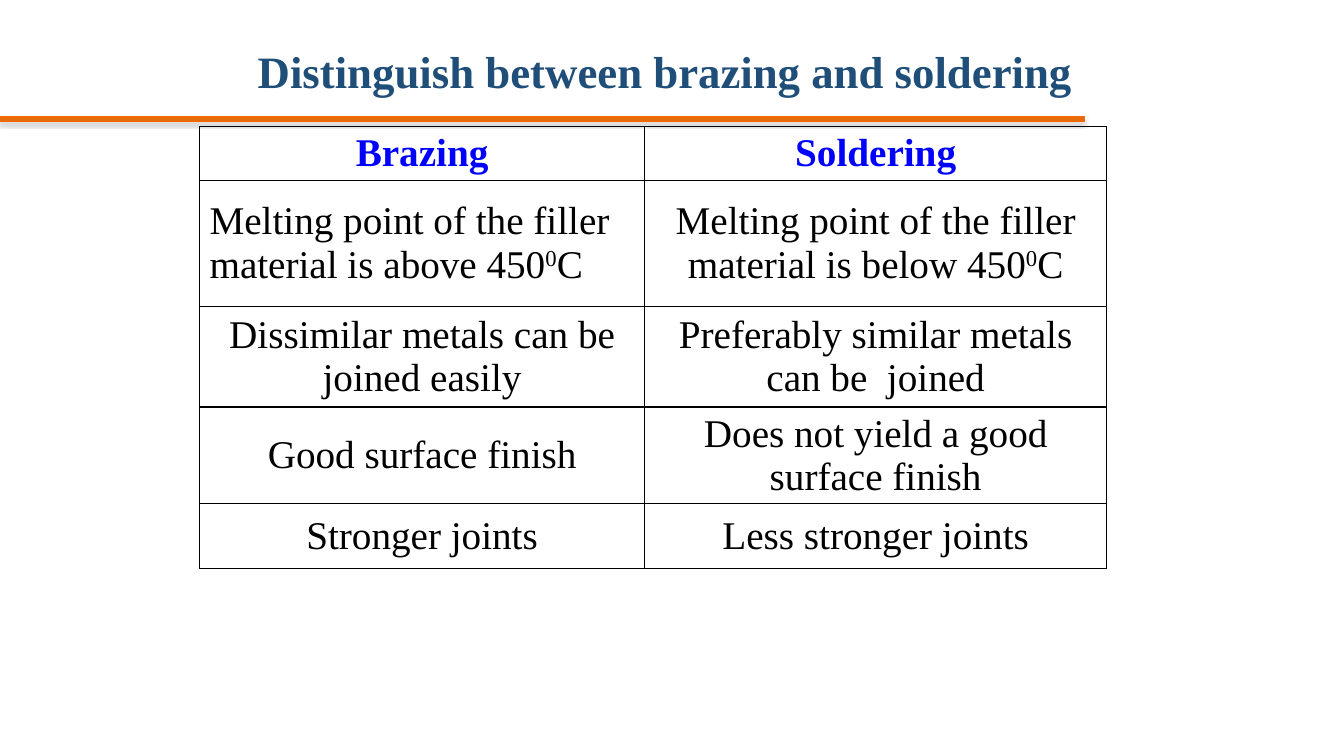
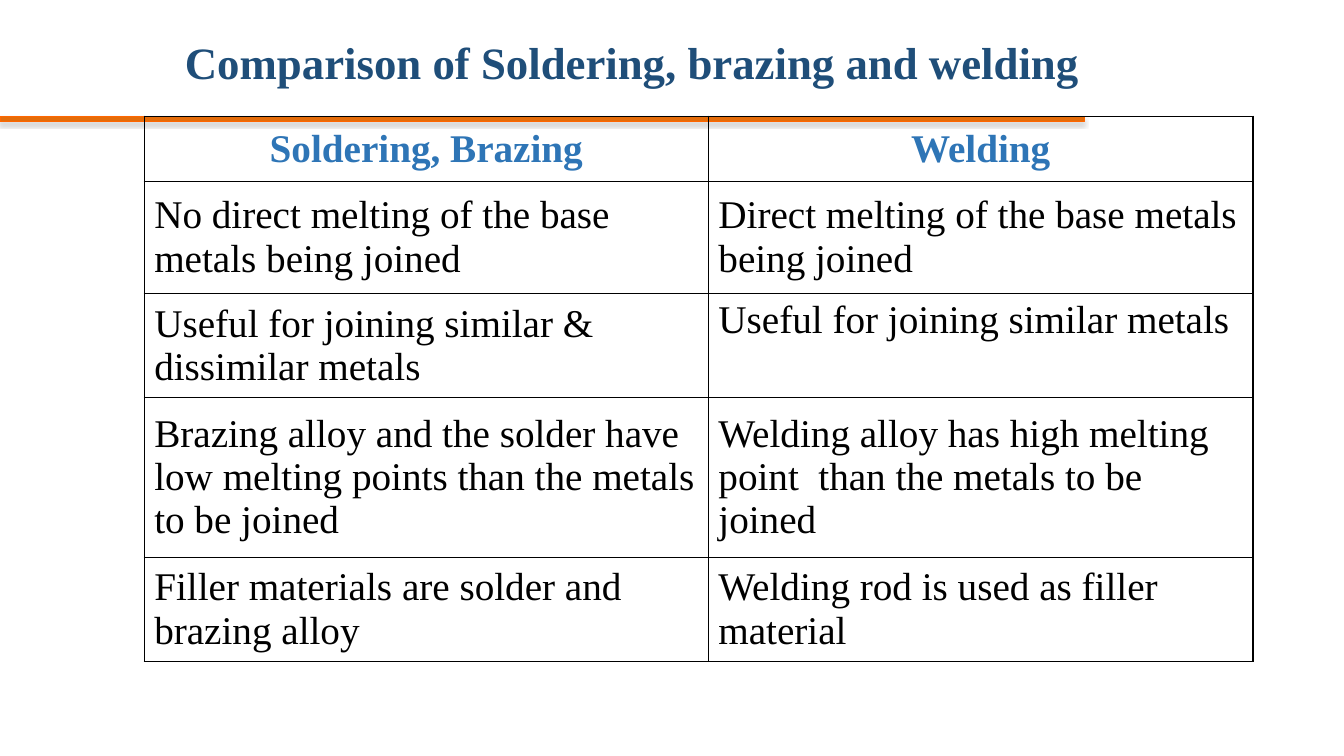
from dataclasses import dataclass

from lxml import etree
from pptx import Presentation
from pptx import util as u
from pptx.dml.color import RGBColor
from pptx.enum import shapes, text
from pptx.oxml import ns

FONT = "Times New Roman"
COLORS = {
    "title": "1F4E79",
    "band": "E46C0A",
    "band_edge": "FF6600",
    "shadow": "808080",
    "bright_blue": "0000FF",
    "soft_blue": "2E75B6",
    "ink": "000000",
}
LEFT, CENTER = text.PP_ALIGN.LEFT, text.PP_ALIGN.CENTER
MIDDLE, TOP = text.MSO_ANCHOR.MIDDLE, text.MSO_ANCHOR.TOP


@dataclass(frozen=True)
class Entry:
    words: str
    align: text.PP_ALIGN = LEFT
    anchor: text.MSO_ANCHOR = MIDDLE


@dataclass(frozen=True)
class Comparison:
    title: str
    title_box: tuple[float, float, float, float]
    origin: tuple[float, float]
    widths: tuple[float, ...]
    heights: tuple[float, ...]
    heading_color: str
    headings: tuple[str, ...]
    rows: tuple[tuple[Entry, ...], ...]


COMPARISONS = (
    Comparison(
        title="Distinguish between brazing and soldering",
        title_box=(177, 16.5, 621, 52.5),
        origin=(142.5, 90.5),
        widths=(318, 330),
        heights=(38, 90, 72, 69, 46),
        heading_color="bright_blue",
        headings=("Brazing", "Soldering"),
        rows=(
            (Entry("Melting point of the filler material is above 450^0^C"),
             Entry("Melting point of the filler material is below 450^0^C", CENTER)),
            (Entry("Dissimilar metals can be joined easily", CENTER),
             Entry("Preferably similar metals can be  joined", CENTER)),
            (Entry("Good surface finish", CENTER),
             Entry("Does not yield a good surface finish", CENTER)),
            (Entry("Stronger joints", CENTER),
             Entry("Less stronger joints", CENTER)),
        ),
    ),
    Comparison(
        title="Comparison of Soldering, brazing and welding",
        title_box=(125, 10, 679, 52.5),
        origin=(103, 83),
        widths=(403, 389),
        heights=(46.5, 80, 69, 114, 72),
        heading_color="soft_blue",
        headings=("Soldering, Brazing", "Welding"),
        rows=(
            (Entry("No direct melting of the base metals being joined"),
             Entry("Direct melting of the base metals being joined")),
            (Entry("Useful for joining similar & dissimilar metals"),
             Entry("Useful for joining similar metals", anchor=TOP)),
            (Entry("Brazing alloy and the solder have low melting points than the metals to be joined"),
             Entry("Welding alloy has high melting point  than the metals to be joined")),
            (Entry("Filler materials are solder and brazing alloy"),
             Entry("Welding rod is used as filler material")),
        ),
    ),
)


def rgb(name: str) -> RGBColor:
    return RGBColor.from_string(COLORS[name])


def write(frame, words: str, *, size: float = 28, color: str = "ink",
          bold: bool = False, align=LEFT, spacing: float = 1.0) -> None:
    frame.word_wrap = True
    paragraph = frame.paragraphs[0]
    paragraph.alignment = align
    paragraph.line_spacing = spacing
    for position, part in enumerate(words.split("^")):
        run = paragraph.add_run()
        run.text = part
        run.font.name = FONT
        run.font.size = u.Pt(size)
        run.font.bold = bold
        run.font.color.rgb = rgb(color)
        if position % 2:
            run.font._element.set("baseline", "30000")


def add_color(parent, name: str):
    return etree.SubElement(parent, ns.qn("a:srgbClr"), val=COLORS[name])


def draw_band(slide) -> None:
    band = slide.shapes.add_shape(
        shapes.MSO_SHAPE.RECTANGLE, u.Pt(0), u.Pt(83.5), u.Pt(774.5), u.Pt(3.5))
    band.fill.solid()
    band.fill.fore_color.rgb = rgb("band")
    band.line.color.rgb = rgb("band_edge")
    band.line.width = u.Pt(0.75)
    band.shadow.inherit = False
    effects = band._element.spPr.find(ns.qn("a:effectLst"))
    shadow = etree.SubElement(
        effects, ns.qn("a:outerShdw"), blurRad=str(u.Pt(3)), dist=str(u.Pt(1.8)),
        dir="5400000", rotWithShape="0")
    etree.SubElement(add_color(shadow, "shadow"), ns.qn("a:alpha"), val="35000")


def draw_title(slide, comparison: Comparison) -> None:
    box = slide.shapes.add_textbox(*map(u.Pt, comparison.title_box))
    write(box.text_frame, comparison.title, size=32, color="title", bold=True, spacing=1.3)


def outline(cell) -> None:
    properties = cell._tc.get_or_add_tcPr()
    for side in ("lnL", "lnR", "lnT", "lnB"):
        edge = etree.SubElement(properties, ns.qn(f"a:{side}"), w=str(u.Pt(1)))
        add_color(etree.SubElement(edge, ns.qn("a:solidFill")), "ink")


def fill_cell(cell, entry: Entry, **style) -> None:
    outline(cell)
    cell.fill.background()
    cell.vertical_anchor = entry.anchor
    write(cell.text_frame, entry.words, align=entry.align, **style)


def draw_table(slide, comparison: Comparison) -> None:
    widths, heights = comparison.widths, comparison.heights
    table = slide.shapes.add_table(
        len(heights), len(widths), *map(u.Pt, comparison.origin),
        u.Pt(sum(widths)), u.Pt(sum(heights))).table
    table.first_row = table.horz_banding = False
    for column, width in zip(table.columns, widths):
        column.width = u.Pt(width)
    for row, height in zip(table.rows, heights):
        row.height = u.Pt(height)
    for cell, heading in zip(table.rows[0].cells, comparison.headings):
        fill_cell(cell, Entry(heading, CENTER), color=comparison.heading_color, bold=True)
    for number, entries in enumerate(comparison.rows, start=1):
        for cell, entry in zip(table.rows[number].cells, entries):
            fill_cell(cell, entry)


def main() -> None:
    deck = Presentation()
    deck.slide_width, deck.slide_height = u.Pt(960), u.Pt(540)
    for comparison in COMPARISONS:
        slide = deck.slides.add_slide(deck.slide_layouts[6])
        draw_band(slide)
        draw_table(slide, comparison)
        draw_title(slide, comparison)
    deck.save("out.pptx")


if __name__ == "__main__":
    main()
